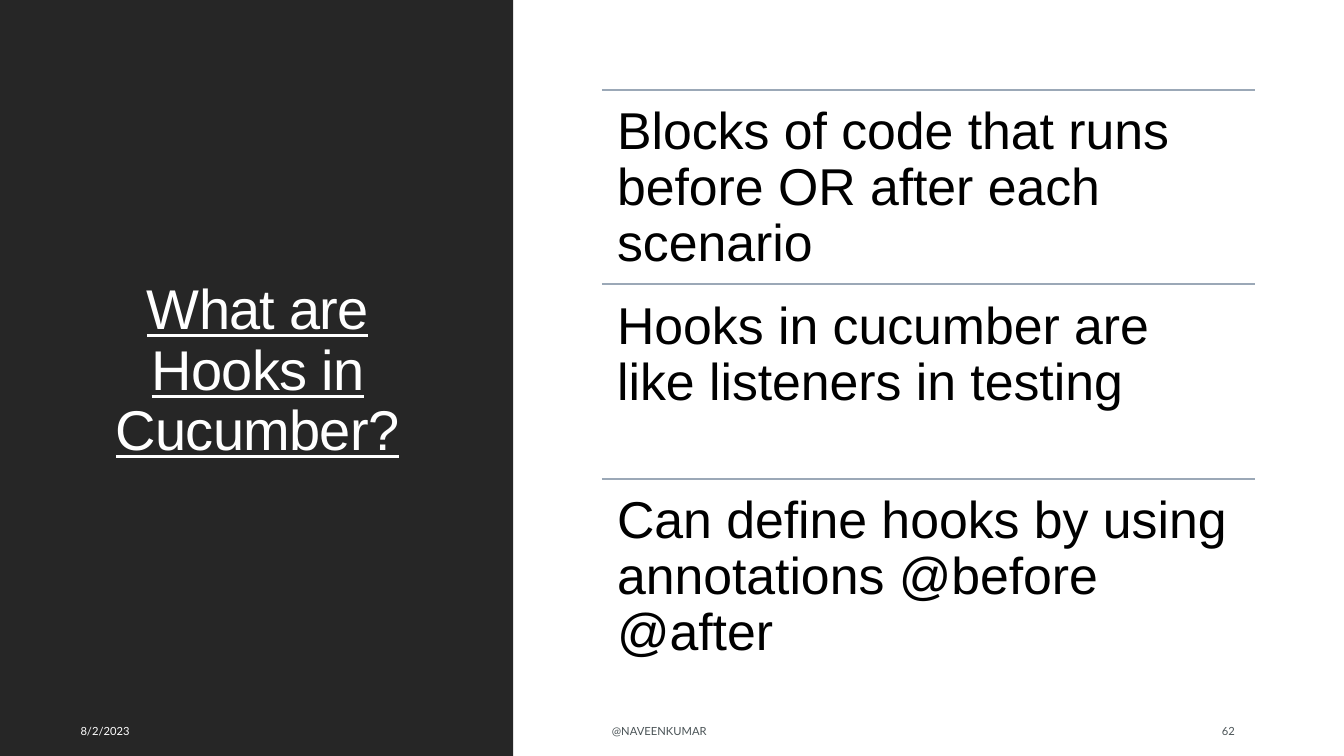
import dataclasses

import pptx
import pptx.dml.color
import pptx.enum.shapes
import pptx.enum.text
import pptx.oxml.ns
import pptx.util
from lxml import etree

PX = 9144  # EMU per px, 100 px to the inch
ANCHOR = pptx.enum.text.MSO_ANCHOR
ALIGN = pptx.enum.text.PP_ALIGN


@dataclasses.dataclass(frozen=True)
class Theme:
    dark: str = "262626"
    white: str = "FFFFFF"
    black: str = "000000"
    rule: str = "9BA8B7"
    grey: str = "4A5356"
    head: str = "Arial"
    small: str = "Lato"
    title: int = 40
    body: int = 37
    foot: int = 8


def rgb(code):
    return pptx.dml.color.RGBColor.from_string(code)


class Deck:
    def __init__(self, theme):
        self.theme = theme
        self.file = pptx.Presentation()
        self.file.slide_width = 1333 * PX
        self.file.slide_height = 750 * PX
        self.slide = self.file.slides.add_slide(self.file.slide_layouts[6])

    def panel(self, x, y, w, h, color):
        shape = self.slide.shapes.add_shape(
            pptx.enum.shapes.MSO_SHAPE.RECTANGLE, x * PX, y * PX, w * PX, h * PX)
        shape.shadow.inherit = False
        shape.fill.solid()
        shape.fill.fore_color.rgb = rgb(color)
        shape.line.fill.background()

    def rule(self, x, y, w):
        line = self.slide.shapes.add_connector(
            pptx.enum.shapes.MSO_CONNECTOR.STRAIGHT,
            x * PX, y * PX, (x + w) * PX, y * PX)
        line.line.color.rgb = rgb(self.theme.rule)
        line.line.width = pptx.util.Pt(1.25)
        etree.SubElement(line._element.spPr, pptx.oxml.ns.qn("a:effectLst"))

    def text(self, x, y, w, h, words, font, size, color, anchor=ANCHOR.MIDDLE):
        """Add a one-paragraph text box and return its frame."""
        box = self.slide.shapes.add_textbox(x * PX, y * PX, w * PX, h * PX)
        frame = box.text_frame
        frame.word_wrap = True
        frame.vertical_anchor = anchor
        para = frame.paragraphs[0]
        para.text = words
        para.font.name = font
        para.font.size = pptx.util.Pt(size)
        para.font.color.rgb = rgb(color)
        return frame

    def title(self, x, y, w, h, words):
        theme = self.theme
        frame = self.text(x, y, w, h, words, theme.head, theme.title,
                          theme.white, ANCHOR.BOTTOM)
        para = frame.paragraphs[0]
        para.alignment = ALIGN.CENTER
        para.line_spacing = 0.9
        para.font.underline = True
        # Tighten letters by half a point
        para.runs[0]._r.get_or_add_rPr().set("spc", "-50")

    def point(self, x, y, w, h, words):
        """Add a statement under a thin rule."""
        theme = self.theme
        self.rule(x, y, w)
        frame = self.text(x, y, w, h, words, theme.head, theme.body,
                          theme.black, ANCHOR.TOP)
        frame.margin_left = frame.margin_right = 15 * PX
        frame.margin_top = frame.margin_bottom = 15 * PX
        frame.paragraphs[0].line_spacing = 0.9

    def foot(self, x, w, words, color):
        self.text(x, 705, w, 40, words, self.theme.small, self.theme.foot, color)


def main():
    theme = Theme()
    deck = Deck(theme)
    deck.panel(0, 0, 509, 750, theme.dark)
    deck.title(63, 235, 385, 229, "What are Hooks in Cucumber?")

    points = [
        "Blocks of code that runs before OR after each scenario",
        "Hooks in cucumber are like listeners in testing",
        "Can define hooks by using annotations @before @after",
    ]
    top, step = 89, 193
    for i, words in enumerate(points):
        deck.point(597, top + i * step, 648, step, words)

    deck.foot(597, 583, "@NAVEENKUMAR", theme.grey)
    deck.foot(70, 385, "8/2/2023", theme.white)
    deck.foot(1202, 85, "62", theme.grey)
    deck.file.save("out.pptx")


if __name__ == "__main__":
    main()
